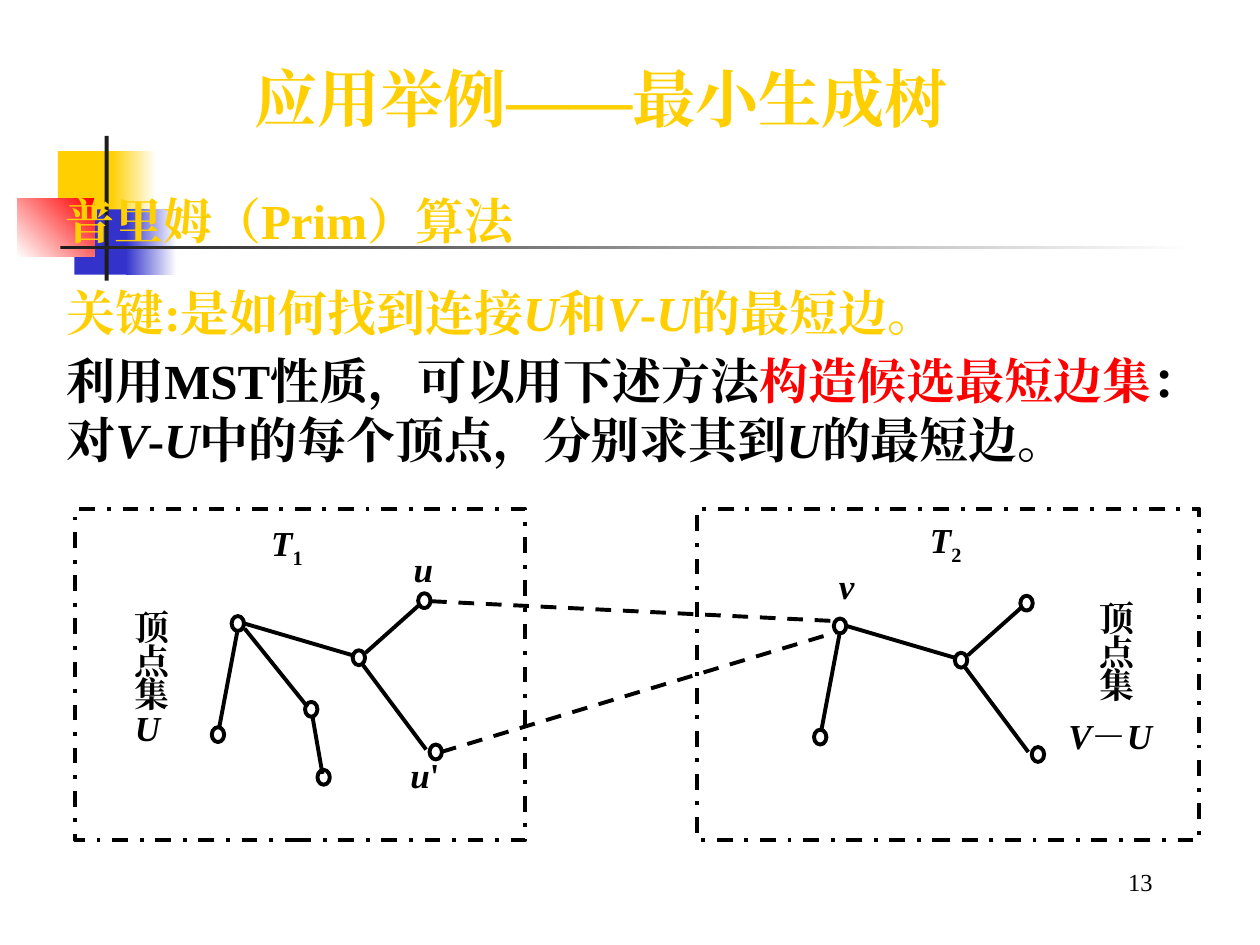
from typing import NamedTuple

from lxml.etree import SubElement
from pptx import Presentation
from pptx.dml.color import RGBColor
from pptx.enum.dml import MSO_LINE
from pptx.enum.shapes import MSO_CONNECTOR, MSO_SHAPE
from pptx.enum.text import MSO_ANCHOR, MSO_AUTO_SIZE, PP_ALIGN
from pptx.oxml import parse_xml
from pptx.oxml.ns import nsdecls, qn
from pptx.util import Cm, Pt

YELLOW = RGBColor(0xFF, 0xCF, 0x01)
BLUE = RGBColor(0x33, 0x33, 0xCC)
RED = RGBColor(0xFF, 0x00, 0x00)
CHARCOAL = RGBColor(0x1C, 0x1C, 0x1C)
BLACK = RGBColor(0x00, 0x00, 0x00)
WHITE = RGBColor(0xFF, 0xFF, 0xFF)
FONT = "Times New Roman"


class Box(NamedTuple):
    left: float
    top: float
    width: float
    height: float


class Ornament(NamedTuple):
    box: Box
    start: RGBColor
    end: RGBColor
    angle: int = 0


class Piece(NamedTuple):
    text: str
    italic: bool = False
    color: RGBColor | None = None
    subscript: bool = False


class TextBlock(NamedTuple):
    box: Box
    pieces: list[Piece]
    size: int = 20
    color: RGBColor = BLACK
    bold: bool = True
    alignment: PP_ALIGN = PP_ALIGN.LEFT
    line_spacing: float = 1.0
    insets: tuple[float, float] = (0.25, 0.13)


class Edge(NamedTuple):
    start_x: float
    start_y: float
    end_x: float
    end_y: float


class Tree(NamedTuple):
    nodes: list[tuple[float, float]]
    edges: list[Edge]


ORNAMENTS = [
    Ornament(Box(1.17, 3.05, 1.22, 1.32), YELLOW, YELLOW),
    Ornament(Box(2.24, 3.05, 0.91, 1.32), YELLOW, WHITE),
    Ornament(Box(1.5, 4.22, 1.17, 1.32), BLUE, BLUE),
    Ornament(Box(2.54, 4.22, 1.02, 1.32), BLUE, WHITE),
    Ornament(Box(0.35, 4.01, 1.55, 1.17), WHITE, RED, 45),
    Ornament(Box(2.11, 2.74, 0.08, 2.92), CHARCOAL, CHARCOAL),
    Ornament(Box(1.22, 4.95, 22.86, 0.08), CHARCOAL, WHITE),
]

U = Piece("U", True)
V = Piece("V", True)
HYPHEN = Piece("-")

TITLE = TextBlock(Box(4.88, 1.07, 16.2, 1.78), [Piece("应用举例——最小生成树")], 36, YELLOW)
TEXT_BLOCKS = [
    TextBlock(Box(1.09, 5.56, 22.66, 1.45),
              [Piece("关键:是如何找到连接"), U, Piece("和"), V, HYPHEN, U, Piece("的最短边。")],
              28, YELLOW),
    TextBlock(Box(1.07, 3.71, 14.6, 1.45), [Piece("普里姆（Prim）算法")], 28, YELLOW),
    TextBlock(Box(1.09, 6.93, 23.62, 2.64),
              [Piece("利用MST性质，可以用下述方法"), Piece("构造候选最短边集", color=RED),
               Piece("：对"), V, HYPHEN, U, Piece("中的每个顶点，分别求其到"), U,
               Piece("的最短边。")], 28),
    TextBlock(Box(18.21, 17.35, 5.28, 1.27), [Piece("13")], 14, bold=False,
              alignment=PP_ALIGN.RIGHT),
    TextBlock(Box(2.72, 12.34, 0.86, 2.77), [Piece("顶点集"), U], line_spacing=0.8,
              alignment=PP_ALIGN.JUSTIFY, insets=(0, 0.03)),
    TextBlock(Box(21.54, 14.45, 2.69, 0.86), [V, Piece("－"), U], line_spacing=0.94,
              alignment=PP_ALIGN.JUSTIFY, insets=(0, 0.03)),
    TextBlock(Box(22.17, 12.19, 0.71, 2.13), [Piece("顶点集")], line_spacing=0.8,
              alignment=PP_ALIGN.JUSTIFY, insets=(0, 0)),
]


def centred_label(box: Box, pieces: list[Piece], line_spacing: float) -> TextBlock:
    return TextBlock(box, pieces, alignment=PP_ALIGN.CENTER,
                     line_spacing=line_spacing, insets=(0, 0))


TEXT_BLOCKS += [
    centred_label(Box(8.2, 15.54, 0.74, 0.53), [Piece("u", True), Piece("'")], 0.54),
    centred_label(Box(16.69, 11.66, 0.76, 0.58), [Piece("v", True)], 0.62),
    centred_label(Box(8.18, 11.25, 0.71, 0.64), [Piece("u", True)], 0.72),
    centred_label(Box(5.05, 10.74, 1.47, 0.64), [Piece("T", True), Piece("1", subscript=True)], 0.62),
    centred_label(Box(18.34, 10.69, 1.45, 0.64), [Piece("T", True), Piece("2", subscript=True)], 0.62),
]

SET_FRAMES = [Box(14.05, 10.26, 10.13, 6.68), Box(1.52, 10.26, 9.07, 6.68)]
SHARED_TREE = Tree(
    [(8.43, 11.96), (8.66, 15.01), (7.11, 13.11), (4.27, 14.66), (4.67, 12.42)],
    [Edge(8.48, 12.17, 7.37, 13.16), Edge(7.32, 13.41, 8.59, 15.11),
     Edge(4.78, 12.75, 4.42, 14.66), Edge(4.93, 12.57, 7.11, 13.21)],
)
EXTRA_BRANCH = Tree(
    [(6.15, 14.15), (6.4, 15.52)],
    [Edge(4.93, 12.67, 6.2, 14.25), Edge(6.3, 14.45, 6.5, 15.6)],
)
CANDIDATE_EDGES = [Edge(8.89, 15.16, 16.84, 12.75), Edge(8.69, 12.12, 16.84, 12.52)]


def apply_format(target, values: dict) -> None:
    for name, value in values.items():
        setattr(target, name, value)


def add_ornament(slide, ornament: Ornament) -> None:
    shape = slide.shapes.add_shape(MSO_SHAPE.RECTANGLE, *map(Cm, ornament.box))
    shape.shadow.inherit = False
    shape.line.fill.background()
    if ornament.start == ornament.end:
        shape.fill.solid()
        shape.fill.fore_color.rgb = ornament.start
        return
    shape.fill.gradient()
    shape.fill.gradient_angle = ornament.angle
    for stop, color, position in zip(shape.fill.gradient_stops, (ornament.start, ornament.end), (0, 1)):
        stop.color.rgb = color
        stop.position = position


def fill_text(shape, block: TextBlock) -> None:
    horizontal, vertical = map(Cm, block.insets)
    frame = shape.text_frame
    apply_format(frame, {
        "word_wrap": True, "auto_size": MSO_AUTO_SIZE.NONE, "vertical_anchor": MSO_ANCHOR.TOP,
        "margin_left": horizontal, "margin_right": horizontal,
        "margin_top": vertical, "margin_bottom": vertical,
    })
    paragraph = frame.paragraphs[0]
    apply_format(paragraph, {"alignment": block.alignment, "line_spacing": block.line_spacing})
    for piece in block.pieces:
        run = paragraph.add_run()
        run.text = piece.text
        apply_format(run.font, {"name": FONT, "size": Pt(block.size),
                                "bold": block.bold, "italic": piece.italic})
        run.font.color.rgb = piece.color or block.color
        properties = run._r.get_or_add_rPr()
        SubElement(properties, qn("a:ea")).set("typeface", FONT)
        if piece.subscript:
            properties.set("baseline", "-25000")


def add_title(slide, block: TextBlock) -> None:
    title = slide.shapes.title
    apply_format(title, dict(zip(Box._fields, map(Cm, block.box))))
    fill_text(title, block)
    run = title.text_frame.paragraphs[0].runs[0]
    run._r.rPr.find(qn("a:solidFill")).addnext(parse_xml(
        f'<a:effectLst {nsdecls("a")}><a:outerShdw dist="25400" dir="2700000">'
        '<a:srgbClr val="000000"/></a:outerShdw></a:effectLst>'))


def add_outline(slide, kind: MSO_SHAPE, box: Box, dash: MSO_LINE = MSO_LINE.SOLID) -> None:
    shape = slide.shapes.add_shape(kind, *map(Cm, box))
    shape.shadow.inherit = False
    shape.fill.background()
    shape.line.color.rgb = BLACK
    apply_format(shape.line, {"width": Pt(2.25), "dash_style": dash})


def add_edge(slide, edge: Edge, dash: MSO_LINE = MSO_LINE.SOLID) -> None:
    connector = slide.shapes.add_connector(MSO_CONNECTOR.STRAIGHT, *map(Cm, edge))
    connector.line.color.rgb = BLACK
    apply_format(connector.line, {"width": Pt(2.25), "dash_style": dash})
    SubElement(connector._element.spPr, qn("a:effectLst"))


def add_tree(slide, tree: Tree, shift_x: float = 0, shift_y: float = 0) -> None:
    for edge in tree.edges:
        add_edge(slide, Edge(edge.start_x + shift_x, edge.start_y + shift_y,
                             edge.end_x + shift_x, edge.end_y + shift_y))
    for left, top in tree.nodes:
        add_outline(slide, MSO_SHAPE.OVAL, Box(left + shift_x, top + shift_y, 0.25, 0.3))


def main() -> None:
    presentation = Presentation()
    apply_format(presentation, {"slide_width": Cm(25.4), "slide_height": Cm(19.05)})
    slide = presentation.slides.add_slide(presentation.slide_layouts[5])
    add_title(slide, TITLE)
    for ornament in ORNAMENTS:
        add_ornament(slide, ornament)
    for block in TEXT_BLOCKS:
        fill_text(slide.shapes.add_textbox(*map(Cm, block.box)), block)
    for frame in SET_FRAMES:
        add_outline(slide, MSO_SHAPE.RECTANGLE, frame, MSO_LINE.DASH_DOT)
    add_tree(slide, SHARED_TREE)
    add_tree(slide, EXTRA_BRANCH)
    add_tree(slide, SHARED_TREE, 12.14, 0.05)
    for edge in CANDIDATE_EDGES:
        add_edge(slide, edge, MSO_LINE.DASH)
    presentation.save("out.pptx")


if __name__ == "__main__":
    main()
